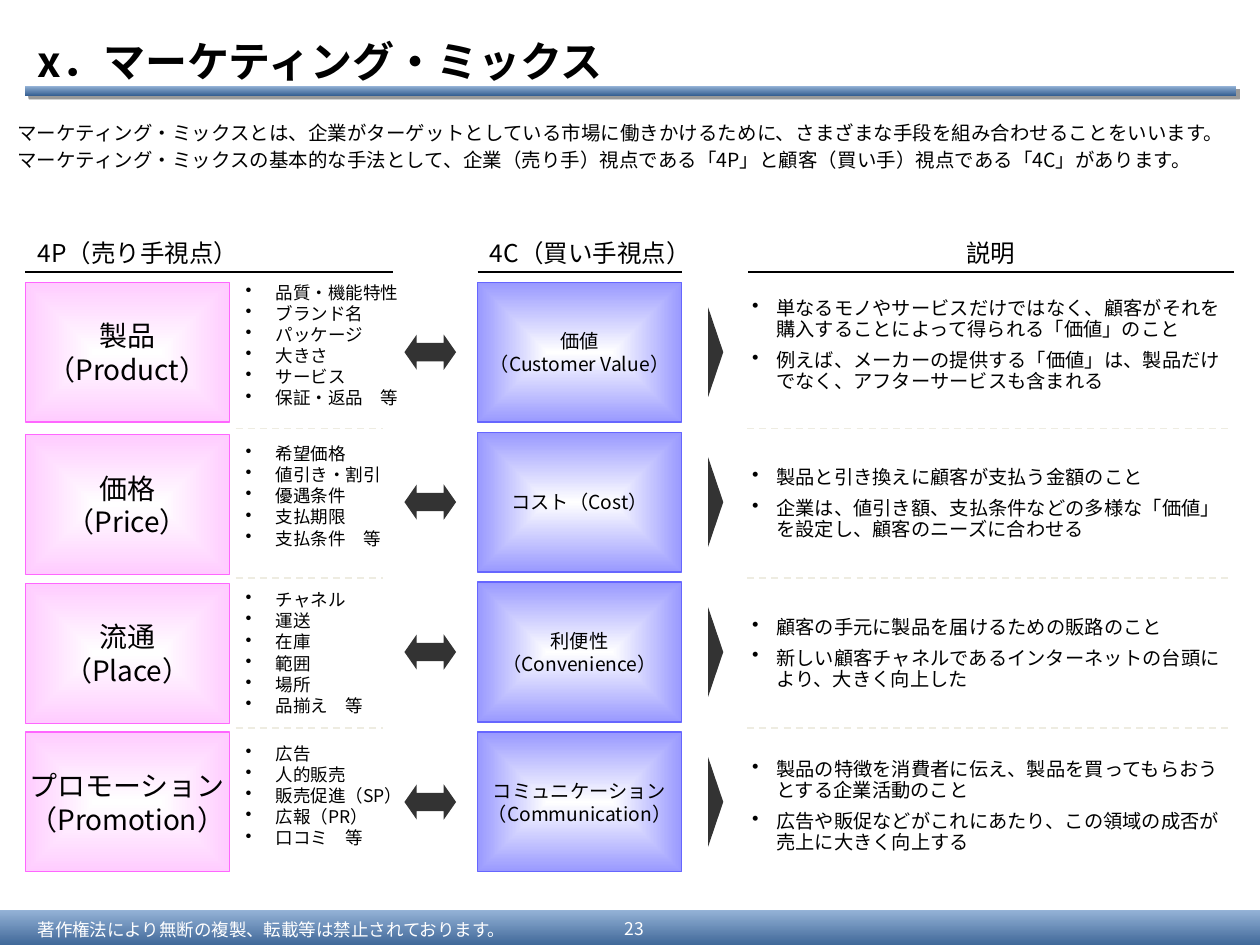
from dataclasses import dataclass

from lxml.etree import SubElement
from pptx import Presentation
from pptx.dml.color import RGBColor as Rgb
from pptx.enum.dml import MSO_LINE as Dash
from pptx.enum.shapes import MSO_CONNECTOR as Link, MSO_SHAPE as Shape
from pptx.enum.text import MSO_ANCHOR as Anchor, MSO_AUTO_SIZE as Fit, PP_ALIGN as Align
from pptx.oxml import parse_xml
from pptx.oxml.ns import nsdecls, qn
from pptx.util import Inches, Pt

TITLE = "x．マーケティング・ミックス"
INTRO = [
    "マーケティング・ミックスとは、企業がターゲットとしている市場に働きかけるために、さまざまな手段を組み合わせることをいいます。",
    "マーケティング・ミックスの基本的な手法として、企業（売り手）視点である「4P」と顧客（買い手）視点である「4C」があります。",
]
HEADINGS = [
    ("4P（売り手視点）", 0.2, 2.92, Align.LEFT),
    ("4C（買い手視点）", 3.79, 1.62, Align.LEFT),
    ("説明", 5.94, 3.85, Align.CENTER),
]
ROWS = [
    dict(
        seller=["製品\v（Product）"], buyer=["価値\v（Customer Value）"],
        means=["品質・機能特性", "ブランド名", "パッケージ", "大きさ", "サービス", "保証・返品　等"],
        notes=["単なるモノやサービスだけではなく、顧客がそれを購入することによって得られる「価値」のこと",
               "例えば、メーカーの提供する「価値」は、製品だけでなく、アフターサービスも含まれる"],
        seller_top=2.24, means_top=2.21, notes_top=2.33,
    ),
    dict(
        seller=["価格\v（Price）"], buyer=["コスト（Cost）"],
        means=["希望価格", "値引き・割引", "優遇条件", "支払期限", "支払条件　等"],
        notes=["製品と引き換えに顧客が支払う金額のこと",
               "企業は、値引き額、支払条件などの多様な「価値」を設定し、顧客のニーズに合わせる"],
        seller_top=3.45, means_top=3.49, notes_top=3.67,
    ),
    dict(
        seller=["流通\v（Place）"], buyer=["利便性\v（Convenience）"],
        means=["チャネル", "運送", "在庫", "範囲", "場所", "品揃え　等"],
        notes=["顧客の手元に製品を届けるための販路のこと",
               "新しい顧客チャネルであるインターネットの台頭により、大きく向上した"],
        seller_top=4.63, means_top=4.65, notes_top=4.86,
    ),
    dict(
        seller=["プロモーション", "（Promotion）"], buyer=["コミュニケーション\v（Communication）"],
        means=["広告", "人的販売", "販売促進（SP）", "広報（PR）", "口コミ　等"],
        notes=["製品の特徴を消費者に伝え、製品を買ってもらおうとする企業活動のこと",
               "広告や販促などがこれにあたり、この領域の成否が売上に大きく向上する"],
        seller_top=5.81, means_top=5.87, notes_top=5.99,
    ),
]
COPYRIGHT = "著作権法により無断の複製、転載等は禁止されております。"
PAGE = "23"


@dataclass(frozen=True)
class Theme:
    font: str = "Noto Sans CJK JP"
    ink: str = "000000"
    white: str = "FFFFFF"
    navy: str = "376092"
    sky: str = "95B3D7"
    pink: str = "FFCCFF"
    pink_edge: str = "FF66FF"
    violet: str = "9999FF"
    violet_edge: str = "6666FF"
    arrow: str = "333333"
    divider: str = "EEECE1"
    title: float = 24
    seller: float = 16
    heading: float = 14
    intro: float = 11.1
    body: float = 11
    small: float = 10
    leading: float = 1.21


T = Theme()
FIRST_ROW, PITCH, BOX_W, BOX_H = 2.24, 1.19, 1.62, 1.11
SELLER_X, MEANS_X, ARROW_X, BUYER_X, NOTES_X = 0.2, 1.91, 3.21, 3.79, 5.93
POINTER_MID = 5.68
DIVIDERS = [(1.87, 3.04), (5.93, 9.78)]

prs = Presentation()
prs.slide_width, prs.slide_height = Inches(10), Inches(7.5)
slide = prs.slides.add_slide(prs.slide_layouts[5])
shapes = slide.shapes


def inches(*lengths):
    return [Inches(length) for length in lengths]


def write(shape, paragraphs, size, color=T.ink, bold=False, align=Align.LEFT, anchor=Anchor.TOP,
          inset=(0.1, 0.05), wrap=True, share=1, before=0, after=0, bullet=0):
    frame = shape.text_frame
    frame.auto_size, frame.word_wrap, frame.vertical_anchor = Fit.NONE, wrap, anchor
    frame.margin_left = frame.margin_right = Inches(inset[0])
    frame.margin_top = frame.margin_bottom = Inches(inset[1])
    for i, text in enumerate(paragraphs):
        para = frame.paragraphs[0] if i == 0 else frame.add_paragraph()
        para.text = text
        if bullet:
            props = para._p.get_or_add_pPr()
            props.set("marL", str(Inches(bullet)))
            props.set("indent", str(-Inches(bullet)))
            SubElement(SubElement(props, qn("a:buClr")), qn("a:srgbClr")).set("val", color)
            SubElement(props, qn("a:buChar")).set("char", "•")
        para.alignment = align
        para.line_spacing = Pt(round(size * T.leading * share, 1))
        para.space_before, para.space_after = Pt(before if i else 0), Pt(after)
        for run in para.runs:
            run.font.name, run.font.size, run.font.bold = T.font, Pt(size), bold
            run.font.color.rgb = Rgb.from_string(color)
            SubElement(run._r.get_or_add_rPr(), qn("a:ea")).set("typeface", T.font)


def label(area, paragraphs, size, **style):
    write(shapes.add_textbox(*inches(*area)), paragraphs, size, **style)


def block(area, kind=Shape.RECTANGLE, fill=T.arrow, edge=None):
    shape = shapes.add_shape(kind, *inches(*area))
    shape.shadow.inherit = False
    shape.fill.solid()
    shape.fill.fore_color.rgb = Rgb.from_string(fill)
    if edge:
        shape.line.color.rgb, shape.line.width = Rgb.from_string(edge), Pt(0.75)
    else:
        shape.line.fill.background()
    return shape


def shade(shape, start, end, direction):
    stops = "".join(f'<a:gs pos="{pos}"><a:srgbClr val="{color}"/></a:gs>'
                    for pos, color in ((0, start), (100000, end)))
    solid = shape._element.spPr.find(qn("a:solidFill"))
    solid.getparent().replace(solid, parse_xml(
        f'<a:gradFill {nsdecls("a")} rotWithShape="1"><a:gsLst>{stops}</a:gsLst>{direction}</a:gradFill>'))


def band(area):
    shape = block(area)
    shade(shape, T.navy, T.sky, '<a:lin ang="16200000" scaled="0"/>')
    return shape


def concept(left, top, paragraphs, size, fill, edge):
    shape = block((left, top, BOX_W, BOX_H), fill=fill, edge=edge)
    shade(shape, T.white, fill,
          '<a:path path="rect"><a:fillToRect l="50000" t="50000" r="50000" b="50000"/></a:path>')
    write(shape, paragraphs, size, align=Align.CENTER, anchor=Anchor.MIDDLE, wrap=False)


def rule(left, right, y, color=T.ink, dash=None):
    line = shapes.add_connector(Link.STRAIGHT, *inches(left, y, right, y))
    line.line.color.rgb, line.line.width = Rgb.from_string(color), Pt(1)
    if dash:
        line.line.dash_style = dash
    SubElement(line._element.spPr, qn("a:effectLst"))


band((0, 7.22, 10, 0.31))
title_bar = band((0.2, 0.68, 9.61, 0.08))
effects = title_bar._element.spPr.find(qn("a:effectLst"))
effects.append(parse_xml(
    f'<a:outerShdw {nsdecls("a")} blurRad="0" dist="38100" dir="2700000" algn="tl" rotWithShape="0">'
    f'<a:srgbClr val="{T.ink}"><a:alpha val="40000"/></a:srgbClr></a:outerShdw>'))
footer = dict(color=T.white, anchor=Anchor.MIDDLE, inset=(0.1, 0.04))
label((0.2, 7.25, 4.25, 0.25), [COPYRIGHT], T.small, **footer)
label((4.76, 7.23, 0.55, 0.28), [PAGE], T.small, align=Align.CENTER, **footer)

title = shapes.title
title.left, title.top, title.width, title.height = inches(0.2, 0.21, 9.8, 0.54)
write(title, [TITLE], T.title, bold=True, anchor=Anchor.MIDDLE)
label((0.04, 0.93, 9.89, 0.93), INTRO, T.intro, share=0.9, before=3)

for heading, left, width, align in HEADINGS:
    label((left, 1.84, width, 0.34), [heading], T.heading, align=align, wrap=align == Align.CENTER)
    rule(left, left + width, 2.16)

for i, row in enumerate(ROWS):
    top = FIRST_ROW + i * PITCH
    middle = top + BOX_H / 2
    concept(SELLER_X, row["seller_top"], row["seller"], T.seller, T.pink, T.pink_edge)
    concept(BUYER_X, top, row["buyer"], T.body, T.violet, T.violet_edge)
    arrow = block((ARROW_X, middle - 0.14, 0.41, 0.28), Shape.LEFT_RIGHT_ARROW)
    arrow.adjustments[0], arrow.adjustments[1] = 0.52, 0.35
    pointer = block((POINTER_MID - 0.355, middle - 0.06, 0.71, 0.12), Shape.ISOSCELES_TRIANGLE)
    pointer.rotation = 90
    label((MEANS_X, row["means_top"], 1.43, 0.06 + 0.17 * len(row["means"])), row["means"], T.small,
          inset=(0.04, 0.04), share=0.9, before=1.2, bullet=0.24)
    label((NOTES_X, row["notes_top"], 3.85, 0.82 if i in (0, 3) else 0.65), row["notes"], T.body,
          inset=(0.04, 0.04), share=0.9, before=4.1, after=1.4, bullet=0.19)
    if i:
        for left, right in DIVIDERS:
            rule(left, right, top - 0.03, T.divider, Dash.DASH)

prs.save("out.pptx")
